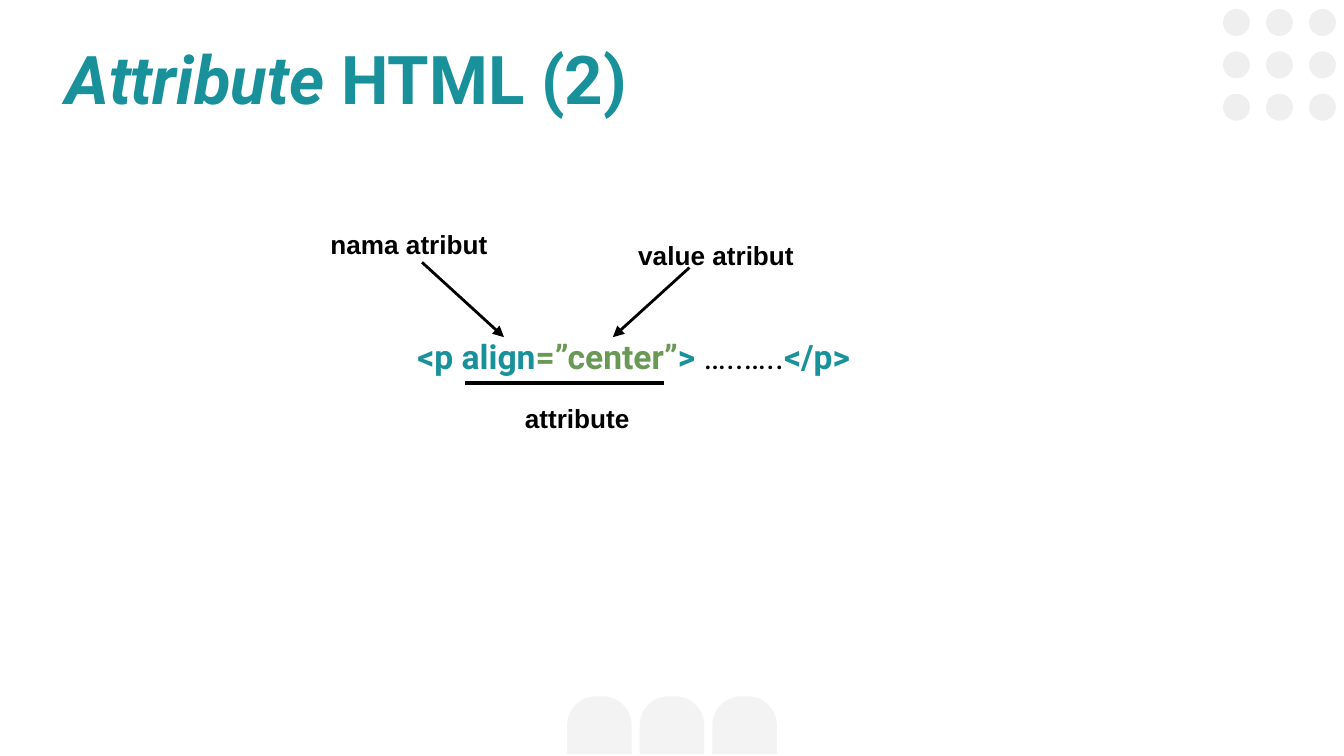
from itertools import product

from lxml.etree import SubElement
from pptx import Presentation
from pptx.dml.color import RGBColor
from pptx.enum.shapes import MSO_CONNECTOR, MSO_SHAPE
from pptx.enum.text import MSO_ANCHOR, PP_ALIGN
from pptx.oxml.ns import qn
from pptx.util import Inches, Pt

COLORS = {"teal": "18919B", "green": "6A9955", "black": "000000",
          "tab": "F3F3F3", "dot": "EFEFEF"}

# Positions and sizes are percentages of the slide's width and height.
TABS = {"count": 3, "left": 42.2, "top": 92.1, "step": 5.4, "size": (4.8, 7.65)}
DOTS = {"count": 3, "left": 91, "top": 1.2, "step": (3.2, 5.6), "size": (2, 3.56)}
LABEL_SIZE = (17.1, 7.8)

# Runs: text, colour, bold, italic
TITLE = [("Attribute ", "teal", True, True), ("HTML (2)", "teal", True, False)]
CODE = [
    ("<p align", "teal", True, False),
    ("=”center”", "green", True, False),
    (">", "teal", True, False),
    (" …..…..", "black", False, False),
    ("</p>", "teal", True, False),
]
LABELS = [
    ("nama atribut", (23.6, 28.4), PP_ALIGN.LEFT),
    ("value atribut", (46.5, 29.9), PP_ALIGN.LEFT),
    ("attribute", (34.4, 51.4), PP_ALIGN.CENTER),
]
# Lines: start, end, width, arrowhead
LINES = [
    ((31.4, 34.7), (37.5, 44.6), 1.5, True),
    ((51.3, 35.4), (45.6, 44.6), 1.5, True),
    ((34.6, 50.7), (49.4, 50.7), 2.25, False),
]

prs = Presentation()
prs.slide_width, prs.slide_height = Inches(10), Inches(5.625)
s = prs.slides.add_slide(prs.slide_layouts[6])


def share(pair):
    """Turn a (width %, height %) pair into slide lengths."""
    return (int(prs.slide_width * pair[0] / 100),
            int(prs.slide_height * pair[1] / 100))


def rgb(name):
    return RGBColor.from_string(COLORS[name])


def add_shape(kind, pos, size, color):
    sp = s.shapes.add_shape(kind, *share(pos), *share(size))
    sp.shadow.inherit = False
    sp.fill.solid()
    sp.fill.fore_color.rgb = rgb(color)
    sp.line.fill.background()
    return sp


def add_text(runs, pos, size, font, points, align=PP_ALIGN.LEFT):
    tf = s.shapes.add_textbox(*share(pos), *share(size)).text_frame
    tf.word_wrap = True
    tf.vertical_anchor = MSO_ANCHOR.TOP
    tf.margin_left = tf.margin_right = Inches(0.1)
    tf.margin_top = tf.margin_bottom = Inches(0.1)
    p = tf.paragraphs[0]
    p.alignment = align
    for text, color, bold, italic in runs:
        r = p.add_run()
        r.text = text
        r.font.name, r.font.size = font, Pt(points)
        r.font.bold, r.font.italic = bold, italic
        r.font.color.rgb = rgb(color)
    return p


def add_line(start, end, width, arrow):
    line = s.shapes.add_connector(MSO_CONNECTOR.STRAIGHT, *share(start), *share(end))
    line.line.color.rgb = rgb("black")
    line.line.width = Pt(width)
    if arrow:
        SubElement(line.line._get_or_add_ln(), qn("a:tailEnd"), type="triangle")
    SubElement(line._element.spPr, qn("a:effectLst"))


for i in range(TABS["count"]):
    tab = add_shape(MSO_SHAPE.ROUND_2_SAME_RECTANGLE,
                    (TABS["left"] + i * TABS["step"], TABS["top"]), TABS["size"], "tab")
    tab.adjustments[0], tab.adjustments[1] = 0.5, 0

for row, col in product(range(DOTS["count"]), repeat=2):
    pos = (DOTS["left"] + col * DOTS["step"][0], DOTS["top"] + row * DOTS["step"][1])
    add_shape(MSO_SHAPE.OVAL, pos, DOTS["size"], "dot")

add_text(TITLE, (3.9, 3.2), (86.2, 14.4), "Roboto", 36)
code = add_text(CODE, (5.5, 41.8), (83.3, 12.3), "Roboto", 18, PP_ALIGN.CENTER)
code.line_spacing = 1.15
code.space_after = Pt(10)

for text, pos, align in LABELS:
    add_text([(text, "black", True, False)], pos, LABEL_SIZE, "Arial", 14, align)
for line in LINES:
    add_line(*line)

prs.save("out.pptx")
